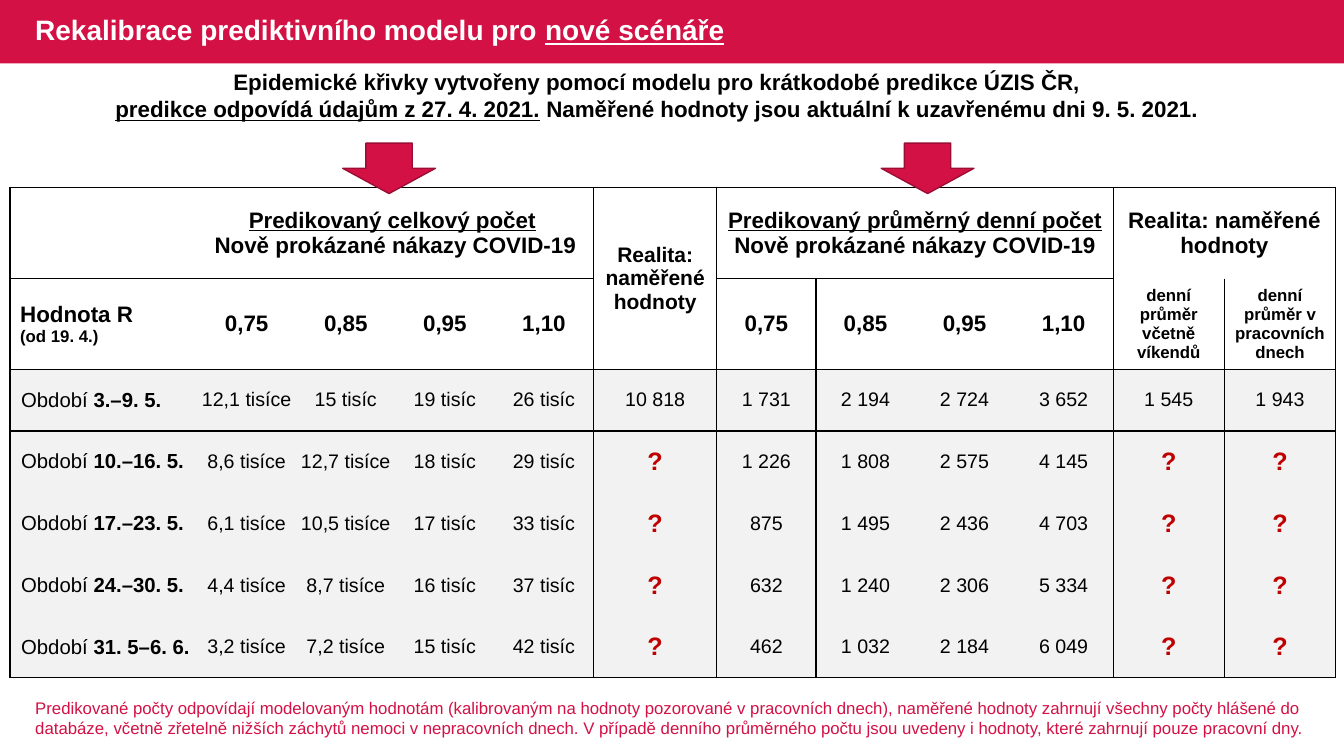
from dataclasses import dataclass

from lxml import etree
from pptx import Presentation
from pptx.dml.color import RGBColor
from pptx.enum.shapes import MSO_SHAPE
from pptx.enum.text import MSO_ANCHOR, PP_ALIGN
from pptx.oxml.ns import qn
from pptx.util import Emu, Inches, Pt

RECT, DOWN_ARROW = MSO_SHAPE.RECTANGLE, MSO_SHAPE.DOWN_ARROW
LEFT, CENTER = PP_ALIGN.LEFT, PP_ALIGN.CENTER
TOP, MIDDLE = MSO_ANCHOR.TOP, MSO_ANCHOR.MIDDLE

FONT = "Arial"
CRIMSON, DARK_CRIMSON, RED = "D31145", "9C0D33", "C00000"
BLACK, WHITE, GREY = "000000", "FFFFFF", "F2F2F2"
SLIDE_W, SLIDE_H = Inches(13.33), Inches(7.5)

# Relative sizes of the table's columns and rows
COLUMN_SHARES = [1.85] + [0.98] * 4 + [1.22] + [0.98] * 4 + [1.1] * 2
ROW_SHARES = [0.9, 0.85] + [0.61] * 5
HEADER_ROWS = 2
THIN, THICK = 1, 1.5


@dataclass
class Box:
    """Place and size in percent of the slide."""
    x: float
    y: float
    w: float
    h: float

    def emu(self) -> tuple[Emu, Emu, Emu, Emu]:
        return (Emu(int(SLIDE_W * self.x / 100)), Emu(int(SLIDE_H * self.y / 100)),
                Emu(int(SLIDE_W * self.w / 100)), Emu(int(SLIDE_H * self.h / 100)))


@dataclass
class Run:
    """A stretch of text; a trailing newline becomes a line break."""
    text: str
    size: float = 16
    bold: bool = True
    underline: bool = False
    color: str = BLACK


@dataclass
class Heading:
    row: int
    col: int
    paragraphs: list[list[Run]]
    rows: int = 1
    cols: int = 1
    align: PP_ALIGN = CENTER


@dataclass
class Period:
    dates: str
    values: list[str]


TITLE = [Run("Rekalibrace prediktivního modelu pro ", 20, color=WHITE),
         Run("nové scénáře", 20, underline=True, color=WHITE)]
INTRO = [Run("Epidemické křivky vytvořeny pomocí modelu pro krátkodobé predikce ÚZIS ČR,\n"),
         Run("predikce odpovídá údajům z 27. 4. 2021.", underline=True),
         Run(" Naměřené hodnoty jsou aktuální k uzavřenému dni 9. 5. 2021.")]
NOTE = [Run("Predikované počty odpovídají modelovaným hodnotám (kalibrovaným na hodnoty "
            "pozorované v pracovních dnech), naměřené hodnoty zahrnují všechny počty hlášené "
            "do databáze, včetně zřetelně nižších záchytů nemoci v nepracovních dnech. "
            "V případě denního průměrného počtu jsou uvedeny i hodnoty, které zahrnují pouze "
            "pracovní dny.", 12, False, color=CRIMSON)]
CASES = "Nově prokázané nákazy COVID-19"
HEADINGS = [
    Heading(0, 1, [[Run("Predikovaný celkový počet", underline=True), Run(" \n"), Run(CASES)]],
            cols=4),
    Heading(0, 5, [[Run("Realita: naměřené", 15)], [Run("hodnoty", 15)]], rows=2),
    Heading(0, 6, [[Run("Predikovaný průměrný denní počet", underline=True),
                    Run(" " + CASES)]], cols=4),
    Heading(0, 10, [[Run("Realita: naměřené")], [Run("hodnoty")]], cols=2),
    Heading(1, 0, [[Run("Hodnota R\n"), Run("(od 19. 4.)", 12)]], align=LEFT),
    Heading(1, 10, [[Run("denní průměr včetně víkendů", 12)]]),
    Heading(1, 11, [[Run("denní průměr v pracovních dnech", 12)]]),
] + [Heading(1, first + i, [[Run(r_value)]])
     for first in (1, 6) for i, r_value in enumerate(["0,75", "0,85", "0,95", "1,10"])]
PERIODS = [
    Period("3.–9. 5.", ["12,1 tisíce", "15 tisíc", "19 tisíc", "26 tisíc", "10 818",
                        "1 731", "2 194", "2 724", "3 652", "1 545", "1 943"]),
    Period("10.–16. 5.", ["8,6 tisíce", "12,7 tisíce", "18 tisíc", "29 tisíc", "?",
                          "1 226", "1 808", "2 575", "4 145", "?", "?"]),
    Period("17.–23. 5.", ["6,1 tisíce", "10,5 tisíce", "17 tisíc", "33 tisíc", "?",
                          "875", "1 495", "2 436", "4 703", "?", "?"]),
    Period("24.–30. 5.", ["4,4 tisíce", "8,7 tisíce", "16 tisíc", "37 tisíc", "?",
                          "632", "1 240", "2 306", "5 334", "?", "?"]),
    Period("31. 5–6. 6.", ["3,2 tisíce", "7,2 tisíce", "15 tisíc", "42 tisíc", "?",
                           "462", "1 032", "2 184", "6 049", "?", "?"]),
]


def rgb(color: str) -> RGBColor:
    return RGBColor.from_string(color)


def write(tf, paragraphs: list[list[Run]], align: PP_ALIGN = LEFT) -> None:
    for i, runs in enumerate(paragraphs):
        p = tf.add_paragraph() if i else tf.paragraphs[0]
        p.alignment = align
        for run in runs:
            r = p.add_run()
            r.text = run.text.rstrip("\n")
            r.font.name, r.font.size = FONT, Pt(run.size)
            r.font.bold, r.font.underline = run.bold, run.underline
            r.font.color.rgb = rgb(run.color)
            if run.text.endswith("\n"):
                p.add_line_break()


def add_shape(s, kind: MSO_SHAPE, box: Box, line: str | None = None) -> None:
    sp = s.shapes.add_shape(kind, *box.emu())
    sp.shadow.inherit = False
    sp.fill.solid()
    sp.fill.fore_color.rgb = rgb(CRIMSON)
    if line:
        sp.line.color.rgb = rgb(line)
        sp.line.width = Pt(1)
    else:
        sp.line.fill.background()


def add_text(s, box: Box, runs: list[Run], align: PP_ALIGN = LEFT, anchor: MSO_ANCHOR = TOP):
    tf = s.shapes.add_textbox(*box.emu()).text_frame
    tf.word_wrap = True
    tf.vertical_anchor = anchor
    write(tf, [runs], align)
    return tf


def vertical_width(row: int, edge: int) -> float:
    """Width of the rule left of column `edge` in a row, 0 for none."""
    return THIN if edge in (0, 5, 6, 10, 12) or (edge in (7, 11) and row > 0) else 0


def horizontal_width(edge: int, col: int) -> float:
    """Width of the rule above row `edge` in a column, 0 for none."""
    if edge == 1:
        return 0 if col in (5, 10, 11) else THIN
    return {0: THICK, 2: THIN, 3: THICK, 7: THIN}.get(edge, 0)


def set_borders(cell, row: int, col: int) -> None:
    bottom = row + (cell.span_height if cell.is_merge_origin else 1)
    right = col + (cell.span_width if cell.is_merge_origin else 1)
    widths = {"a:lnL": vertical_width(row, col), "a:lnR": vertical_width(row, right),
              "a:lnT": horizontal_width(row, col), "a:lnB": horizontal_width(bottom, col)}
    tc_pr = cell._tc.get_or_add_tcPr()
    for i, (tag, width) in enumerate(widths.items()):
        ln = etree.Element(qn(tag), w=str(Pt(width)))
        if width:
            fill = etree.SubElement(ln, qn("a:solidFill"))
            etree.SubElement(fill, qn("a:srgbClr"), val=BLACK)
        else:
            etree.SubElement(ln, qn("a:noFill"))
        tc_pr.insert(i, ln)


def add_forecast_table(s, box: Box) -> None:
    x, y, w, h = box.emu()
    table = s.shapes.add_table(len(ROW_SHARES), len(COLUMN_SHARES), x, y, w, h).table
    table.first_row = table.horz_banding = False
    for column, share in zip(table.columns, COLUMN_SHARES):
        column.width = Emu(int(w * share / sum(COLUMN_SHARES)))
    for row, share in zip(table.rows, ROW_SHARES):
        row.height = Emu(int(h * share / sum(ROW_SHARES)))

    for hd in HEADINGS:
        cell = table.cell(hd.row, hd.col)
        if hd.rows * hd.cols > 1:
            cell.merge(table.cell(hd.row + hd.rows - 1, hd.col + hd.cols - 1))
        write(cell.text_frame, hd.paragraphs, hd.align)
    for i, period in enumerate(PERIODS, HEADER_ROWS):
        label = [Run("Období ", 14.5, False), Run(period.dates, 14.5)]
        write(table.cell(i, 0).text_frame, [label])
        for j, value in enumerate(period.values, 1):
            run = Run(value, 18, color=RED) if value == "?" else Run(value, 14, False)
            write(table.cell(i, j).text_frame, [[run]], CENTER)

    for i in range(len(ROW_SHARES)):
        for j in range(len(COLUMN_SHARES)):
            cell = table.cell(i, j)
            cell.vertical_anchor = MIDDLE
            if i < HEADER_ROWS:
                cell.fill.background()
            else:
                cell.fill.solid()
                cell.fill.fore_color.rgb = rgb(GREY)
                cell.margin_left = Inches(0 if j else 0.11)
                cell.margin_right = cell.margin_top = cell.margin_bottom = 0
            set_borders(cell, i, j)


def main() -> None:
    prs = Presentation()
    prs.slide_width, prs.slide_height = SLIDE_W, SLIDE_H
    s = prs.slides.add_slide(prs.slide_layouts[6])
    add_shape(s, RECT, Box(0, 0, 100, 8.4))
    add_text(s, Box(-1.65, 8.4, 101.05, 8.53), INTRO, CENTER)
    title = add_text(s, Box(1.88, 0, 55.59, 8.4), TITLE, anchor=MIDDLE)
    title.paragraphs[0].line_spacing = 0.9
    add_forecast_table(s, Box(0.75, 24.8, 98.65, 64.27))
    add_text(s, Box(1.88, 91.6, 96.25, 6.67), NOTE)
    for x in (25.5, 65.57):
        add_shape(s, DOWN_ARROW, Box(x, 18.93, 6.9, 6.67), DARK_CRIMSON)
    prs.save("out.pptx")


if __name__ == "__main__":
    main()
